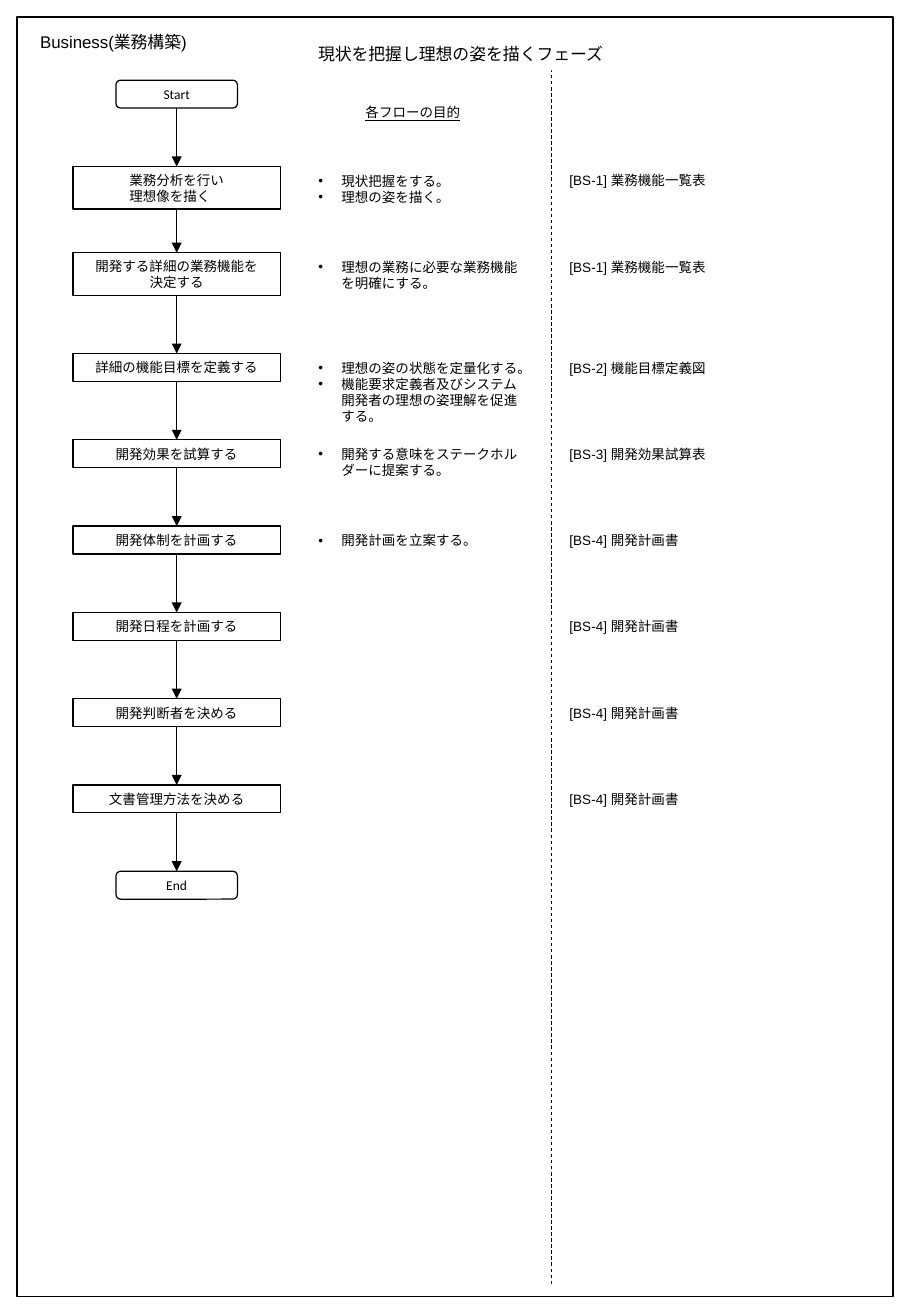
import copy
import pptx
import pptx.util
import pptx.dml.color
import pptx.enum.dml
import pptx.enum.shapes
import pptx.enum.text
import pptx.oxml.xmlchemy
from pptx.util import Inches

KIND = pptx.enum.shapes.MSO_SHAPE
ALIGN = pptx.enum.text.PP_ALIGN
ANCHOR = pptx.enum.text.MSO_ANCHOR
INK, PAPER = "000000", "FFFFFF"

# Each step: label, aims, document
STEPS = [
    ("業務分析を行い\n理想像を描く\u3000", "現状把握をする。\n理想の姿を描く。", "[BS-1] 業務機能一覧表"),
    ("開発する詳細の業務機能を\n決定する", "理想の業務に必要な業務機能を明確にする。", "[BS-1] 業務機能一覧表"),
    ("詳細の機能目標を定義する",
     "理想の姿の状態を定量化する。\n機能要求定義者及びシステム開発者の理想の姿理解を促進する。",
     "[BS-2] 機能目標定義図"),
    ("開発効果を試算する", "開発する意味をステークホルダーに提案する。", "[BS-3] 開発効果試算表"),
    ("開発体制を計画する", "開発計画を立案する。", "[BS-4] 開発計画書"),
    ("開発日程を計画する", "", "[BS-4] 開発計画書"),
    ("開発判断者を決める", "", "[BS-4] 開発計画書"),
    ("文書管理方法を決める", "", "[BS-4] 開発計画書"),
]
AIMS = [aim for _, aim, _ in STEPS if aim]

# Row tops: even pitch, with extra room below the two-line boxes
PITCH, EXTRA = 0.71, 0.12
TOPS = [PITCH * row + (EXTRA if row > 2 else 0) for row in range(len(STEPS) + 2)]


def paint(part, code):
    """Give a fill, line or font one solid colour."""
    if hasattr(part, "solid"):
        part.solid()
        part.fore_color.rgb = pptx.dml.color.RGBColor.from_string(code)
    else:
        part.color.rgb = pptx.dml.color.RGBColor.from_string(code)


def place(shape, box):
    shape.left, shape.top, shape.width, shape.height = map(Inches, box)


def write(shape, text, size=8, face="Arial", align=ALIGN.LEFT, anchor=ANCHOR.TOP):
    frame = shape.text_frame
    frame.text = text
    frame.word_wrap = True
    frame.auto_size = pptx.enum.text.MSO_AUTO_SIZE.NONE
    frame.vertical_anchor = anchor
    for para in frame.paragraphs:
        para.alignment = align
        para.space_before = pptx.util.Pt(0)
        for run in para.runs:
            run.font.size = pptx.util.Pt(size)
            run.font.name = face
            paint(run.font, INK)


def add_text(slide, box, text, **style):
    shape = slide.shapes.add_textbox(*map(Inches, box))
    write(shape, text, **style)
    return shape


def add_box(slide, box, kind, fill=None, width=None):
    shape = slide.shapes.add_shape(kind, *map(Inches, box))
    shape.shadow.inherit = False
    if fill:
        paint(shape.fill, fill)
    else:
        shape.fill.background()
    if width:
        paint(shape.line, INK)
        shape.line.width = pptx.util.Pt(width)
    else:
        shape.line.fill.background()
    return shape


def add_line(slide, ends, width):
    line = slide.shapes.add_connector(
        pptx.enum.shapes.MSO_CONNECTOR.STRAIGHT, *map(Inches, ends))
    paint(line.line, INK)
    line.line.width = pptx.util.Pt(width)
    line._element.spPr.append(pptx.oxml.xmlchemy.OxmlElement("a:effectLst"))
    return line


def join(slide, upper, lower):
    """Arrow from the foot of one box to the head of the next."""
    line = add_line(slide, (0, 0, 0, 0), 0.75)
    line.begin_connect(upper, 2)
    line.end_connect(lower, 0)
    head = pptx.oxml.xmlchemy.OxmlElement("a:tailEnd")
    head.set("type", "triangle")
    line._element.spPr.ln.append(head)


def make_slide(deck):
    """Title slide part plus one body placeholder per list of aims."""
    layout = deck.slide_layouts[1]
    body = layout.placeholders[1]._element
    for num in range(1, len(AIMS)):
        twin = copy.deepcopy(body)
        twin.xpath(".//p:cNvPr")[0].set("id", str(20 + num))
        twin.xpath(".//p:ph")[0].set("idx", str(20 + num))
        body.getparent().append(twin)
    return deck.slides.add_slide(layout)


def draw_frame(slide, box):
    left, top, width, height = box
    add_box(slide, box, KIND.RECTANGLE, width=1)
    rule = add_line(slide, (left + 4.4, top + 0.18, left + 4.4, top + height - 0.1), 0.5)
    rule.line.dash_style = pptx.enum.dml.MSO_LINE.DASH


def draw_head(slide, box):
    left, top, width, height = box
    title = slide.shapes.title
    place(title, (left, top, 1.5, 0.27))
    write(title, "Business(業務構築)", size=10)
    phase = add_box(slide, (left + 2.29, top + 0.1, 4.4, 0.27), KIND.RECTANGLE, fill=PAPER)
    write(phase, "現状を把握し理想の姿を描くフェーズ", size=10)
    aim = add_text(slide, (left + 2.62, top + 0.6, 1.1, 0.24),
                   "各フローの目的", align=ALIGN.CENTER)
    aim.text_frame.paragraphs[0].runs[0].font.underline = True


def draw_flow(slide, box):
    left, top, width, height = box
    labels = ["Start"] + [label for label, _, _ in STEPS] + ["End"]
    last = None
    for label, drop in zip(labels, TOPS):
        ends = label in ("Start", "End")
        wide = 1 if ends else width
        tall = 0.35 if "\n" in label else 0.23
        kind = KIND.FLOWCHART_ALTERNATE_PROCESS if ends else KIND.FLOWCHART_PROCESS
        step = add_box(slide, (left + (width - wide) / 2, top + drop, wide, tall),
                       kind, width=0.75)
        write(step, label, face="Calibri", align=ALIGN.CENTER, anchor=ANCHOR.MIDDLE)
        if last:
            join(slide, last, step)
        last = step


def draw_aims(slide, box):
    left, top, width, height = box
    bodies = [item for item in slide.placeholders if item.placeholder_format.idx]
    for body, aim, drop, tall in zip(bodies, AIMS, TOPS[1:], (0.37, 0.37, 0.64, 0.37, 0.24)):
        place(body, (left, top + drop, width, tall))
        write(body, aim)
        for para in body.text_frame.paragraphs:
            props = para._p.get_or_add_pPr()
            props.set("marL", str(Inches(0.19)))
            props.set("indent", str(Inches(-0.19)))


def draw_docs(slide, box):
    left, top, width, height = box
    for (_, _, name), drop in zip(STEPS, TOPS[1:]):
        add_text(slide, (left, top + drop, width, 0.24), name)


deck = pptx.Presentation()
deck.slide_width, deck.slide_height = Inches(7.5), Inches(10.83)
page = make_slide(deck)
draw_frame(page, (0.14, 0.14, 7.21, 10.53))
draw_head(page, (0.23, 0.21, 6.69, 0.84))
draw_flow(page, (0.6, 0.66, 1.71, 6.73))
draw_aims(page, (2.52, 0.66, 1.88, 6.73))
draw_docs(page, (4.59, 0.66, 1.36, 6.73))
deck.save("out.pptx")
